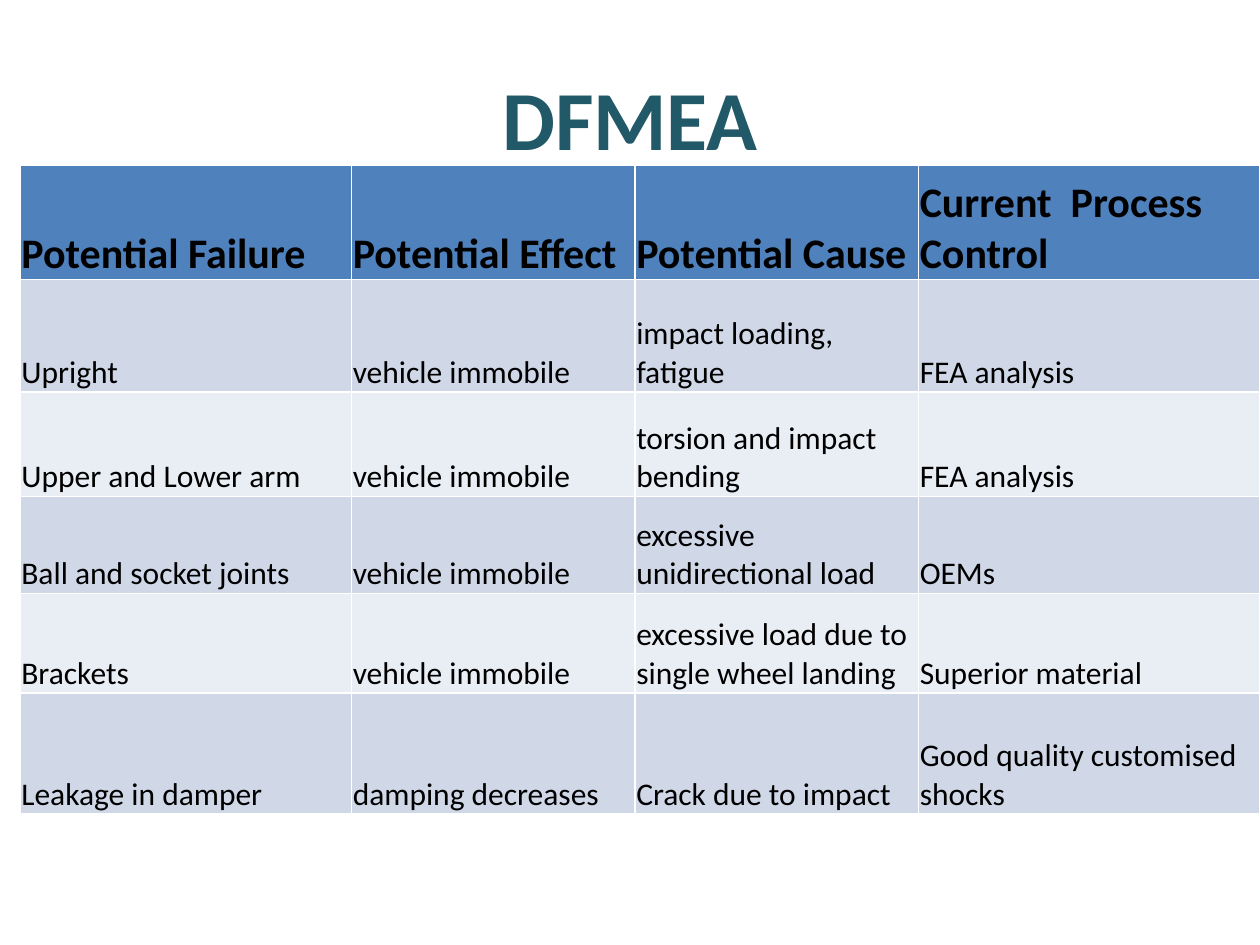
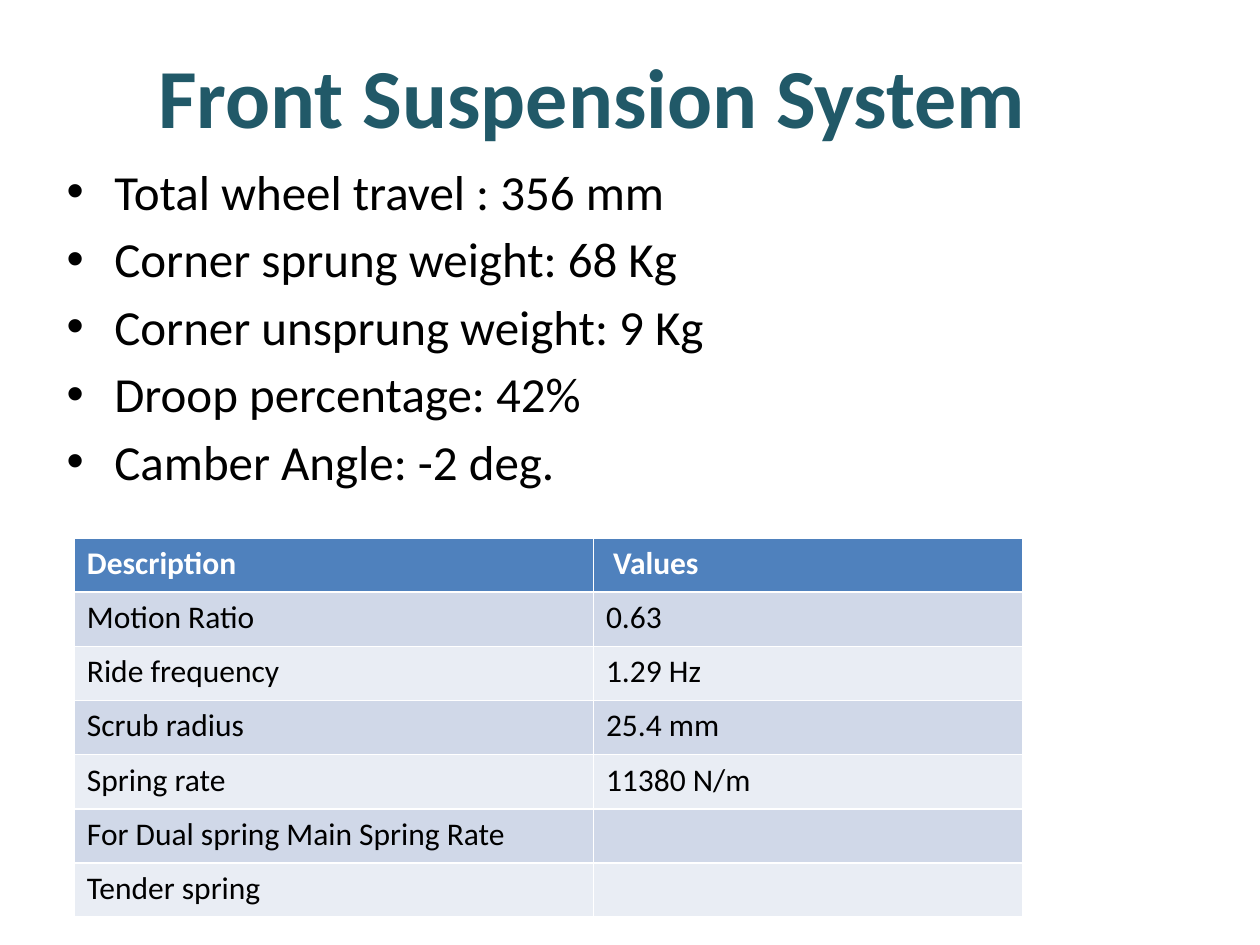
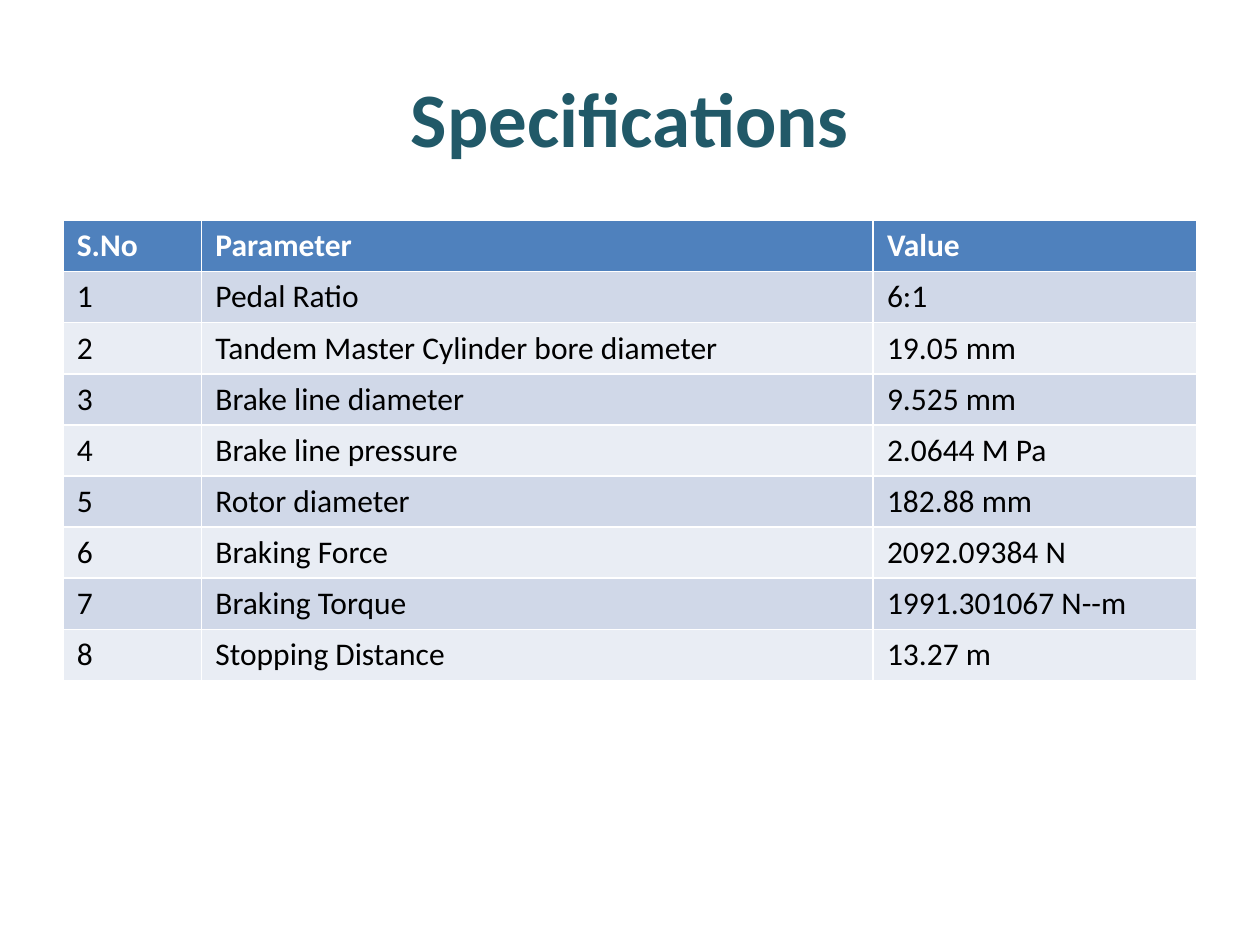
from dataclasses import dataclass

from lxml import etree
from pptx import Presentation
from pptx.dml.color import RGBColor
from pptx.enum.text import MSO_ANCHOR, PP_ALIGN
from pptx.oxml.ns import qn
from pptx.util import Inches, Pt

CENTER = PP_ALIGN.CENTER
TOP = MSO_ANCHOR.TOP
MIDDLE = MSO_ANCHOR.MIDDLE
BOTTOM = MSO_ANCHOR.BOTTOM


@dataclass(frozen=True)
class Theme:
    font: str = "Calibri"
    teal: str = "215968"
    ink: str = "000000"
    white: str = "FFFFFF"
    head: str = "4F81BD"
    bands: tuple = ("D0D8E8", "E9EDF4")
    title: int = 48
    small: int = 44
    list: int = 28
    large: int = 24
    cell: int = 18
    gap: int = 5
    indent: float = 0.38


THEME = Theme()
TIGHT = (0.01, 0.01, 0.01, 0)
ROOMY = (0.1, 0.05, 0.1, 0.05)
WIDE = (0.11, 0.05, 0.11, 0.05)

RISKS = [
    ("Potential Failure", "Potential Effect", "Potential Cause", "Current  Process Control"),
    ("Upright", "vehicle immobile", "impact loading, fatigue", "FEA analysis"),
    ("Upper and Lower arm", "vehicle immobile", "torsion and impact bending", "FEA analysis"),
    ("Ball and socket joints", "vehicle immobile", "excessive unidirectional load", "OEMs"),
    ("Brackets", "vehicle immobile", "excessive load due to single wheel landing",
     "Superior material"),
    ("Leakage in damper", "damping decreases", "Crack due to impact",
     "Good quality customised shocks"),
]
FACTS = [
    "Total wheel travel : 356 mm",
    "Corner sprung weight: 68 Kg",
    "Corner unsprung weight: 9 Kg",
    "Droop percentage: 42%",
    "Camber Angle: -2 deg.",
]
SPRINGS = [
    ("Description", " Values"),
    ("Motion Ratio", "0.63"),
    ("Ride frequency", "1.29 Hz"),
    ("Scrub radius", "25.4 mm"),
    ("Spring rate", "11380 N/m"),
    ("For Dual spring Main Spring Rate", ""),
    ("Tender spring", ""),
]
BRAKES = [
    ("Pedal Ratio", "6:1"),
    ("Tandem Master Cylinder bore diameter", "19.05 mm"),
    ("Brake line diameter", "9.525 mm"),
    ("Brake line pressure", "2.0644 M Pa"),
    ("Rotor diameter", "182.88 mm"),
    ("Braking Force", "2092.09384 N"),
    ("Braking Torque", "1991.301067 N--m"),
    ("Stopping Distance", "13.27 m"),
]


def write(para, text, size=THEME.cell, color=THEME.ink, bold=False, align=None, bullet=False):
    if bullet:
        props = para._p.get_or_add_pPr()
        props.set("marL", str(Inches(THEME.indent)))
        props.set("indent", str(-Inches(THEME.indent)))
        face = etree.SubElement(props, qn("a:buFont"))
        face.set("typeface", "Arial")
        etree.SubElement(props, qn("a:buChar")).set("char", "•")
    if align is not None:
        para.alignment = align
    para.font.size = Pt(size)
    if text:
        run = para.add_run()
        run.text = text
        run.font.name = THEME.font
        run.font.size = Pt(size)
        run.font.bold = bold
        run.font.color.rgb = RGBColor.from_string(color)


def start(deck, text, left=0.5, top=0.3, size=THEME.title):
    slide = deck.slides.add_slide(deck.slide_layouts[5])
    title = slide.shapes.title
    title.left, title.top = Inches(left), Inches(top)
    title.width, title.height = Inches(9), Inches(1.25)
    title.text_frame.vertical_anchor = MIDDLE
    write(title.text_frame.paragraphs[0], text, size=size, color=THEME.teal,
          bold=True, align=CENTER)
    return slide


def points(slide, box, items):
    frame = slide.shapes.add_textbox(*map(Inches, box)).text_frame
    frame.word_wrap = True
    for i, item in enumerate(items):
        para = frame.add_paragraph() if i else frame.paragraphs[0]
        write(para, item, size=THEME.list, bullet=True)
        if i:
            para.space_before = Pt(THEME.gap)


def grid(slide, left, top, cols, rows, data, pad=ROOMY, anchor=TOP, head=None):
    head = head or {"color": THEME.white}
    box = map(Inches, (left, top, sum(cols), sum(rows)))
    table = slide.shapes.add_table(len(rows), len(cols), *box).table
    for col, width in zip(table.columns, cols):
        col.width = Inches(width)
    for r, (row, height, texts) in enumerate(zip(table.rows, rows, data)):
        row.height = Inches(height)
        fill = THEME.bands[(r - 1) % 2] if r else THEME.head
        style = {} if r else {"bold": True, **head}
        for cell, text in zip(row.cells, texts):
            cell.fill.solid()
            cell.fill.fore_color.rgb = RGBColor.from_string(fill)
            cell.vertical_anchor = anchor
            (cell.margin_left, cell.margin_top,
             cell.margin_right, cell.margin_bottom) = map(Inches, pad)
            write(cell.text_frame.paragraphs[0], text, **style)


def risk(deck):
    slide = start(deck, "DFMEA")
    grid(slide, 0.16, 1.31, (2.63, 2.25, 2.25, 2.71),
         (0.91, 0.89, 0.83, 0.77, 0.79, 0.96), RISKS, pad=TIGHT, anchor=BOTTOM,
         head={"size": THEME.large})


def front(deck):
    slide = start(deck, "Front Suspension System", left=0.2, top=0.13)
    points(slide, (0.43, 1.23, 9, 4.95), FACTS)
    grid(slide, 0.59, 4.27, (4.12, 3.41), [0.43] * len(SPRINGS), SPRINGS)


def brake(deck):
    slide = start(deck, "Specifications", size=THEME.small)
    data = [("S.No", "Parameter", "Value")]
    data += [(str(n), *row) for n, row in enumerate(BRAKES, 1)]
    grid(slide, 0.5, 1.75, (1.1, 5.33, 2.57), [3.65 / len(data)] * len(data), data, pad=WIDE)


def main():
    deck = Presentation()
    deck.slide_width, deck.slide_height = Inches(10), Inches(7.5)
    for build in (risk, front, brake):
        build(deck)
    deck.save("out.pptx")


if __name__ == "__main__":
    main()
